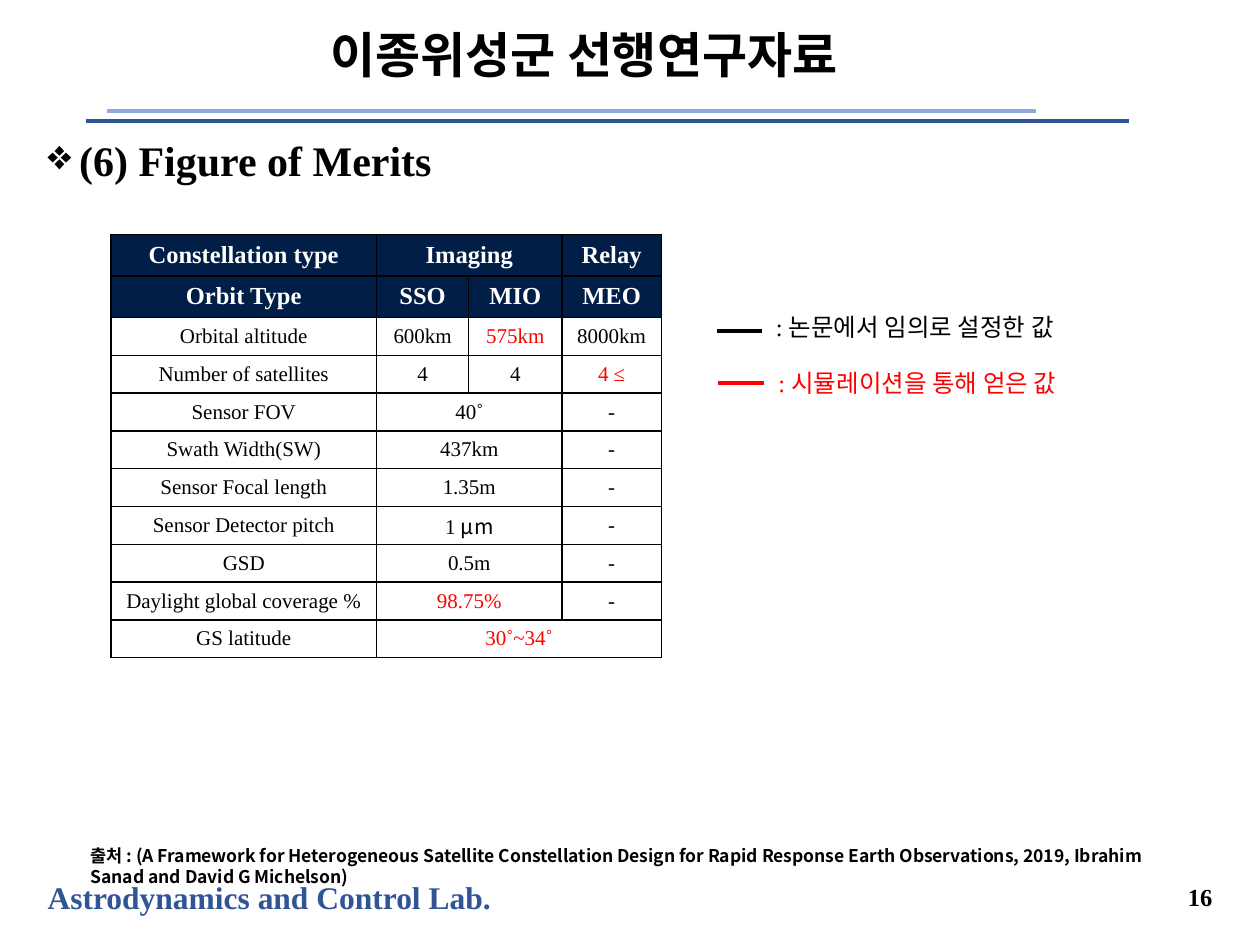
from lxml.etree import SubElement
from pptx import Presentation
from pptx.dml.color import RGBColor
from pptx.enum.shapes import MSO_CONNECTOR
from pptx.enum.text import MSO_ANCHOR as Anchor, PP_ALIGN as Align
from pptx.oxml.ns import qn
from pptx.util import Inches, Pt

SERIF, KOREAN = "Times New Roman", "Noto Sans CJK KR"
BLACK, WHITE, RED = "000000", "FFFFFF", "FF0000"
NAVY, BLUE, LIGHT_BLUE = "001E46", "2F5597", "8FAADC"

# Content
TITLE = "이종위성군 선행연구자료"
HEADING = "(6) Figure of Merits"
SOURCE = ("출처 : (A Framework for Heterogeneous Satellite Constellation Design for Rapid "
          "Response Earth Observations, 2019, Ibrahim Sanad and David G Michelson)")
LAB, PAGE = "Astrodynamics and Control Lab.", "16"

# None continues the cell on its left
ROWS = [
    ("Constellation type", "Imaging", None, "Relay"),
    ("Orbit Type", "SSO", "MIO", "MEO"),
    ("Orbital altitude", "600km", "575km", "8000km"),
    ("Number of satellites", "4", "4", "4 ≤"),
    ("Sensor FOV", "40˚", None, "-"),
    ("Swath Width(SW)", "437km", None, "-"),
    ("Sensor Focal length", "1.35m", None, "-"),
    ("Sensor Detector pitch", "1 μm", None, "-"),
    ("GSD", "0.5m", None, "-"),
    ("Daylight global coverage %", "98.75%", None, "-"),
    ("GS latitude", "30˚~34˚", None, None),
]
SIMULATED = {"575km", "4 ≤", "98.75%", "30˚~34˚"}
HEADER_ROWS = 2
COLUMN_WIDTHS = (2.11, 0.73, 0.74, 0.79)

# Rules and legend keys: left, right, y, colour
LINES = [
    (0.68, 8.96, 0.96, BLUE),
    (0.85, 8.22, 0.88, LIGHT_BLUE),
    (5.69, 6.05, 2.63, BLACK),
    (5.7, 6.06, 3.04, RED),
]
LEGEND = [
    (": 논문에서 임의로 설정한 값", (6.06, 2.43, 2.8, 0.34), BLACK),
    (": 시뮬레이션을 통해 얻은 값", (6.08, 2.87, 3.12, 0.34), RED),
]


def rgb(color):
    return RGBColor.from_string(color)


def style(paragraph, size, color, bold=False, name=SERIF, align=Align.LEFT):
    paragraph.alignment = align
    font = paragraph.font
    font.size, font.bold, font.name = Pt(size), bold, name
    font.color.rgb = rgb(color)
    defaults = paragraph._p.pPr.find(qn("a:defRPr"))
    SubElement(defaults, qn("a:ea")).set("typeface", KOREAN)


def indent(paragraph, left, first=0, bullet=None):
    properties = paragraph._p.get_or_add_pPr()
    properties.set("marL", str(Inches(left)))
    properties.set("indent", str(Inches(first)))
    if bullet:
        SubElement(properties, qn("a:buChar")).set("char", bullet)


def add_text(slide, text, box, size, color=BLACK, anchor=Anchor.TOP, wrap=True,
             margin=None, **options):
    shape = slide.shapes.add_textbox(*map(Inches, box))
    frame = shape.text_frame
    frame.word_wrap, frame.vertical_anchor = wrap, anchor
    paragraph = frame.paragraphs[0]
    paragraph.text = text
    if margin:
        indent(paragraph, *margin)
    style(paragraph, size, color, **options)
    return paragraph


def add_line(slide, left, right, y, color):
    line = slide.shapes.add_connector(
        MSO_CONNECTOR.STRAIGHT, Inches(left), Inches(y), Inches(right), Inches(y))
    line.line.color.rgb = rgb(color)
    line.line.width = Pt(2.25)
    SubElement(line._element.spPr, qn("a:effectLst"))


def add_borders(cell):
    properties = cell._tc.get_or_add_tcPr()
    for index, side in enumerate(("lnL", "lnR", "lnT", "lnB")):
        border = properties.makeelement(qn(f"a:{side}"), {"w": str(Pt(1))})
        fill = SubElement(border, qn("a:solidFill"))
        SubElement(fill, qn("a:srgbClr")).set("val", BLACK)
        properties.insert(index, border)


def fill_cell(cell, text, header):
    cell.fill.solid()
    cell.fill.fore_color.rgb = rgb(NAVY if header else WHITE)
    add_borders(cell)
    cell.vertical_anchor = Anchor.MIDDLE
    cell.margin_left = cell.margin_right = Inches(0.05)
    cell.margin_top = cell.margin_bottom = Inches(0.01)
    paragraph = cell.text_frame.paragraphs[0]
    number, unit, _ = (text or "").partition("μm")
    if number:
        paragraph.add_run().text = number
    if unit:
        run = paragraph.add_run()
        run.text, run.font.name = unit, KOREAN
    color = WHITE if header else RED if text in SIMULATED else BLACK
    style(paragraph, 14 if header else 12, color, bold=header, align=Align.CENTER)


def add_merits_table(slide):
    frame = slide.shapes.add_table(
        len(ROWS), len(COLUMN_WIDTHS), Inches(0.88), Inches(1.86),
        Inches(sum(COLUMN_WIDTHS)), Inches(3.37))
    table = frame.table
    for column, width in zip(table.columns, COLUMN_WIDTHS):
        column.width = Inches(width)
    for r, values in enumerate(ROWS):
        header = r < HEADER_ROWS
        table.rows[r].height = Inches(0.33 if header else 0.3)
        for c, text in enumerate(values):
            fill_cell(table.cell(r, c), text, header)
        if None in values:
            start = values.index(None) - 1
            table.cell(r, start).merge(table.cell(r, start + values.count(None)))


def main():
    presentation = Presentation()
    presentation.slide_width, presentation.slide_height = Inches(10), Inches(7.5)
    slide = presentation.slides.add_slide(presentation.slide_layouts[6])

    # Frame of the slide
    add_text(slide, LAB, (0.28, 6.92, 3.76, 0.4), 18, BLUE, wrap=False, bold=True)
    for line in LINES:
        add_line(slide, *line)
    add_text(slide, PAGE, (8.65, 6.92, 1.07, 0.39), 14, anchor=Anchor.MIDDLE,
             bold=True, align=Align.RIGHT)

    # Title, heading and source
    title = add_text(slide, TITLE, (0.97, 0.08, 7.33, 0.75), 28, anchor=Anchor.MIDDLE,
                     bold=True, align=Align.CENTER)
    title.line_spacing = 0.9
    add_text(slide, HEADING, (0.28, 1.02, 9.44, 5.88), 24, bold=True,
             margin=(0.25, -0.25, "❖"))
    add_text(slide, SOURCE, (0.15, 6.66, 9.2, 0.44), 10, bold=True, name=KOREAN,
             margin=(0.47,))

    # Table and legend
    add_merits_table(slide)
    for text, box, color in LEGEND:
        add_text(slide, text, box, 14, color)

    presentation.save("out.pptx")


if __name__ == "__main__":
    main()
